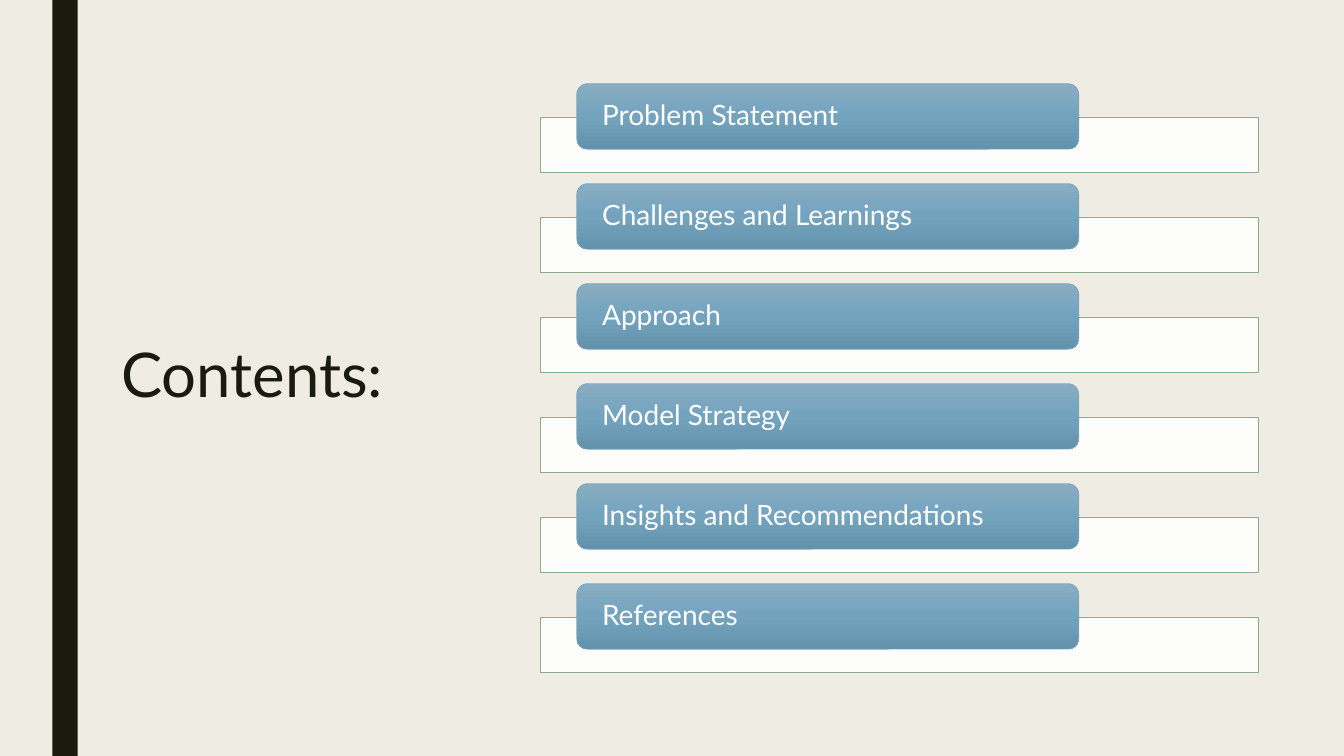
import copy
import dataclasses

import pptx
import pptx.dml.color
import pptx.enum.shapes
import pptx.enum.text
import pptx.oxml
import pptx.oxml.ns
import pptx.util

Inches = pptx.util.Inches
Pt = pptx.util.Pt
MSO_SHAPE = pptx.enum.shapes.MSO_SHAPE
MSO_ANCHOR = pptx.enum.text.MSO_ANCHOR
PP_ALIGN = pptx.enum.text.PP_ALIGN
qn = pptx.oxml.ns.qn

FONT = "Lato"
COLORS = {
    "background": "EFEDE3",
    "ink": "191B0E",
    "white": "FFFFFF",
    "strip_line": "8DAB8E",
    "label_line": "77A2BB",
    "label_top": "88ADC3",
    "label_middle": "74A3BE",
    "label_bottom": "6392AD",
}
TOPICS = [
    "Problem Statement",
    "Challenges and Learnings",
    "Approach",
    "Model Strategy",
    "Insights and Recommendations",
    "References",
]
FIRST_TOP = 0.83
ROW_PITCH = 4.96 / 5
STRIP_DROP = 0.33


@dataclasses.dataclass(frozen=True)
class Box:
    left: float
    top: float
    width: float
    height: float

    def lengths(self) -> list[pptx.util.Length]:
        return [Inches(side) for side in dataclasses.astuple(self)]


@dataclasses.dataclass(frozen=True)
class ContentsRow:
    topic: str
    top: float

    @property
    def strip(self) -> Box:
        return Box(5.36, self.top + STRIP_DROP, 7.12, 0.55)

    @property
    def label(self) -> Box:
        return Box(5.72, self.top, 4.98, 0.65)


def rgb(name: str) -> pptx.dml.color.RGBColor:
    return pptx.dml.color.RGBColor.from_string(COLORS[name])


def style_paragraph(paragraph, size: int, color: str, align, spacing: float) -> None:
    paragraph.alignment = align
    paragraph.line_spacing = spacing
    for run in paragraph.runs:
        run.font.name = FONT
        run.font.size = Pt(size)
        run.font.color.rgb = rgb(color)


def add_panel(shapes, preset, box: Box, fill: str, line: str | None = None):
    panel = shapes.add_shape(preset, *box.lengths())
    panel.shadow.inherit = False
    panel.fill.solid()
    panel.fill.fore_color.rgb = rgb(fill)
    if line:
        panel.line.color.rgb = rgb(line)
        panel.line.width = Pt(0.5)
    else:
        panel.line.fill.background()
    return panel


def make_translucent(panel, percent: int) -> None:
    color = panel._element.spPr.find(qn("a:solidFill")).find(qn("a:srgbClr"))
    alpha = pptx.oxml.parse_xml(
        f'<a:alpha {pptx.oxml.ns.nsdecls("a")} val="{percent * 1000}"/>'
    )
    color.append(alpha)


def shade_label(label) -> None:
    label.fill.gradient()
    label.fill.gradient_angle = 270
    stop_list = label._element.spPr.find(qn("a:gradFill")).find(qn("a:gsLst"))
    stop_list.insert(1, copy.deepcopy(stop_list[0]))
    shades = ["label_top", "label_middle", "label_bottom"]
    for stop, shade, position in zip(label.fill.gradient_stops, shades, [0, 0.5, 1]):
        stop.color.rgb = rgb(shade)
        stop.position = position


def add_contents_row(shapes, row: ContentsRow) -> None:
    strip = add_panel(shapes, MSO_SHAPE.RECTANGLE, row.strip, "white", "strip_line")
    make_translucent(strip, 90)
    label = add_panel(
        shapes, MSO_SHAPE.ROUNDED_RECTANGLE, row.label, "label_middle", "label_line"
    )
    shade_label(label)
    frame = label.text_frame
    frame.text = row.topic
    frame.word_wrap = True
    frame.vertical_anchor = MSO_ANCHOR.MIDDLE
    frame.margin_left = frame.margin_right = Inches(0.22)
    frame.margin_top = frame.margin_bottom = 0
    style_paragraph(frame.paragraphs[0], 20, "white", PP_ALIGN.LEFT, 0.9)


presentation = pptx.Presentation()
presentation.slide_width = Inches(13.33)
presentation.slide_height = Inches(7.5)
slide = presentation.slides.add_slide(presentation.slide_layouts.get_by_name("Title Only"))
slide.background.fill.solid()
slide.background.fill.fore_color.rgb = rgb("background")

add_panel(slide.shapes, MSO_SHAPE.RECTANGLE, Box(0.52, 0, 0.25, 7.5), "ink")

heading = slide.shapes.title
heading.left, heading.top, heading.width, heading.height = Box(0.7, 0.7, 3.61, 6.1).lengths()
heading.text_frame.text = "Contents:"
heading.text_frame.word_wrap = True
heading.text_frame.vertical_anchor = MSO_ANCHOR.MIDDLE
style_paragraph(heading.text_frame.paragraphs[0], 44, "ink", PP_ALIGN.CENTER, 0.89)

contents = slide.shapes.add_group_shape()
for index, topic in enumerate(TOPICS):
    add_contents_row(contents.shapes, ContentsRow(topic, FIRST_TOP + index * ROW_PITCH))

presentation.save("out.pptx")
